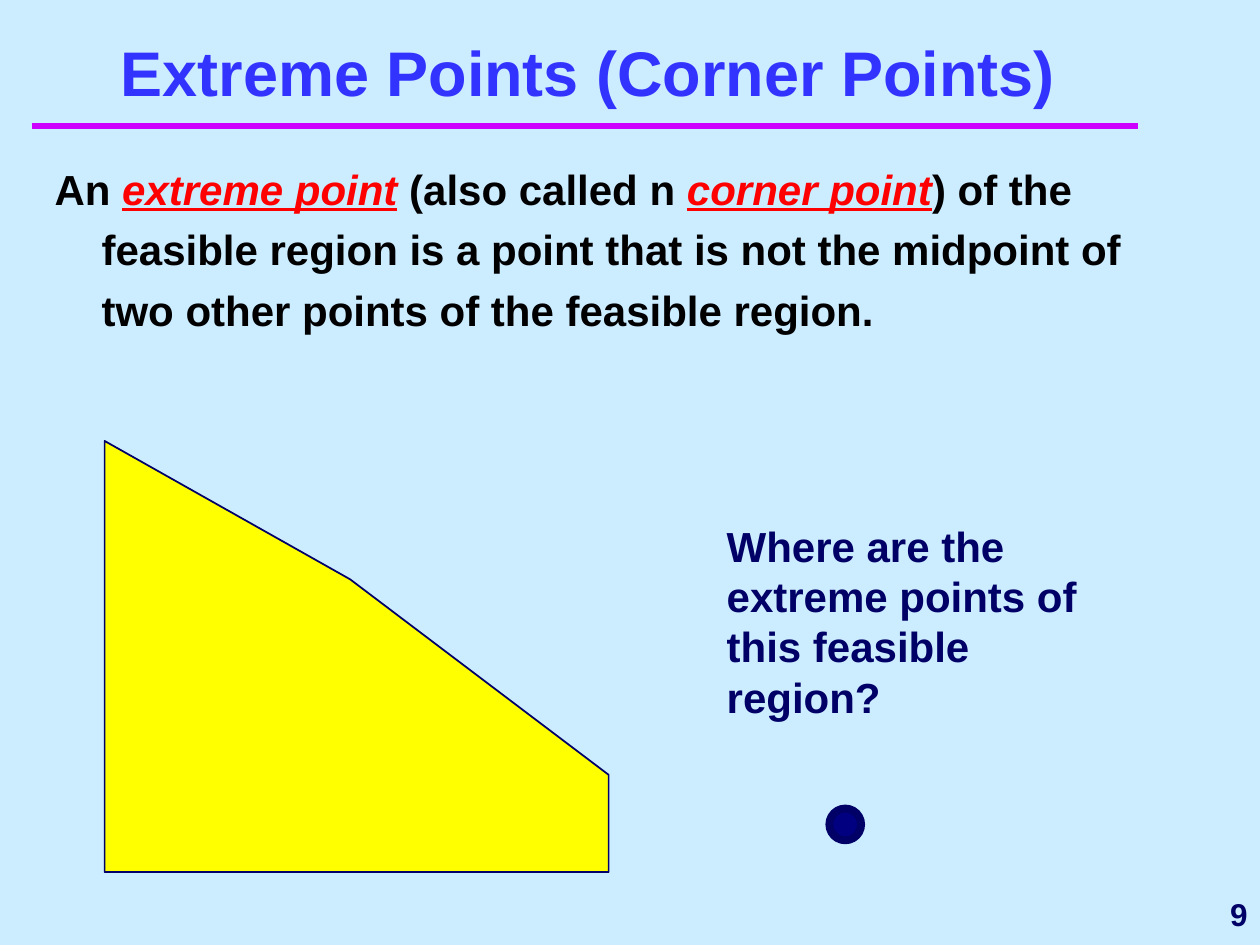
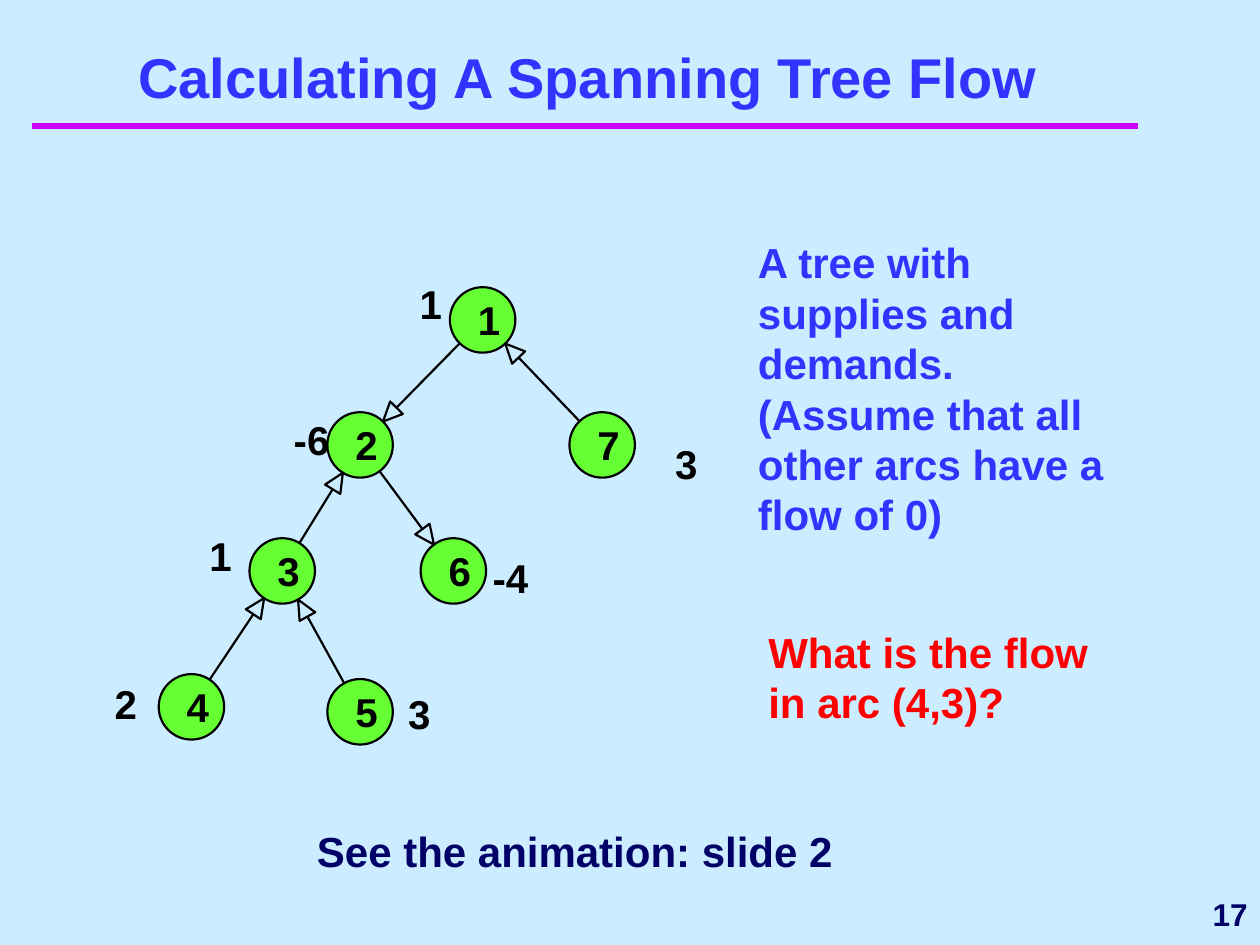
from math import hypot
from lxml.etree import SubElement
from pptx import Presentation
from pptx.dml.color import RGBColor
from pptx.enum.shapes import MSO_CONNECTOR, MSO_SHAPE
from pptx.enum.text import MSO_ANCHOR, PP_ALIGN
from pptx.oxml.ns import qn
from pptx.util import Cm, Pt

# Shared look
SKY, NAVY, BLUE, RED, BLACK = "CCECFF", "000066", "3333FF", "FF0000", "000000"
MAGENTA, YELLOW, GREEN, DOT = "CC00FF", "FFFF00", "66FF33", "000080"
FONT = {"name": "Arial", "bold": True}
TERM = {"color": RED, "italic": True, "underline": True}

# Extreme points: content, lengths in cm
DEFINITION = [
    ("An ", {}), ("extreme point", TERM), (" (also called n ", {}),
    ("corner point", TERM),
    (") of the feasible region is a point that is not the midpoint of "
     "two other points of the feasible region.", {}),
]
REGION = [(2.11, 17.58), (12.27, 17.58), (12.27, 15.62), (7.06, 11.68), (2.11, 8.89)]
QUESTION = ("Where are the extreme points of this feasible region?",
            (14.4, 10.36, 7.62, 4.32), NAVY)

# Spanning tree: node -> centre, supply, left and top of the supply label
NODES = {
    1: ((9.73, 6.45), "1", (8.46, 5.64)),
    2: ((7.26, 8.97), "-6", (5.92, 8.38)),
    3: ((5.69, 11.51), "1", (4.22, 10.72)),
    4: ((3.86, 14.25), "2", (2.31, 13.69)),
    5: ((7.26, 14.35), "3", (8.23, 13.89)),
    6: ((9.14, 11.51), "-4", (9.93, 11.15)),
    7: ((12.14, 8.97), "3", (13.61, 8.86)),
}
ARCS = [(1, 2), (3, 2), (4, 3), (5, 3), (2, 6), (7, 1)]
RADIUS, HEAD_LENGTH, HEAD_HALF = 0.66, 0.39, 0.18
TREE_NOTES = [
    ("A tree with supplies and demands. (Assume that all other arcs have a flow of 0)",
     (15.03, 4.65, 7.83, 6.35), BLUE),
    ("What is the flow in arc (4,3)?", (15.24, 12.5, 7.83, 2.29), RED),
    ("See the animation: slide 2", (6.14, 16.51, 12.7, 1.27), NAVY),
]


def rgb(hex_color):
    return RGBColor.from_string(hex_color)


def set_all(target, values):
    for name, value in values.items():
        setattr(target, name, value)


def write(tf, runs, size, color, align=PP_ALIGN.LEFT):
    p = tf.paragraphs[0]
    p.alignment = align
    for text, extra in runs:
        r = p.add_run()
        r.text = text
        fmt = {**FONT, "size": Pt(size), "color": color, **extra}
        r.font.color.rgb = rgb(fmt.pop("color"))
        set_all(r.font, fmt)
    return p


def add_text(s, runs, box, size, color, align=PP_ALIGN.LEFT, **frame):
    tf = s.shapes.add_textbox(*map(Cm, box)).text_frame
    set_all(tf, {"word_wrap": True, **frame})
    if isinstance(runs, str):
        runs = [(runs, {})]
    return write(tf, runs, size, color, align)


def style(sp, fill, line, width):
    sp.shadow.inherit = False
    if fill:
        sp.fill.solid()
        sp.fill.fore_color.rgb = rgb(fill)
    else:
        sp.fill.background()
    sp.line.color.rgb = rgb(line)
    sp.line.width = Pt(width)


def add_outline(s, points, fill, line, width):
    start, *rest = [(Cm(x), Cm(y)) for x, y in points]
    builder = s.shapes.build_freeform(*start)
    builder.add_line_segments(rest, close=True)
    style(builder.convert_to_shape(), fill, line, width)


def add_circle(s, centre, radius, fill, line, width):
    x, y = centre
    box = (x - radius, y - radius, 2 * radius, 2 * radius)
    sp = s.shapes.add_shape(MSO_SHAPE.OVAL, *map(Cm, box))
    style(sp, fill, line, width)
    return sp


def add_arc(s, start, end):
    """Arrow from rim to rim with a hollow head."""
    (x1, y1), (x2, y2) = start, end
    length = hypot(x2 - x1, y2 - y1)
    ux, uy = (x2 - x1) / length, (y2 - y1) / length

    def at(along, across=0):
        return x1 + along * ux - across * uy, y1 + along * uy + across * ux

    tip = length - RADIUS
    neck = tip - HEAD_LENGTH
    points = [at(RADIUS), at(neck), at(neck, HEAD_HALF), at(tip),
              at(neck, -HEAD_HALF), at(neck)]
    add_outline(s, points, None, BLACK, 1.25)


def new_slide(prs, title, title_size, number):
    s = prs.slides.add_slide(prs.slide_layouts[6])
    s.background.fill.solid()
    s.background.fill.fore_color.rgb = rgb(SKY)
    rule = s.shapes.add_connector(MSO_CONNECTOR.STRAIGHT, Cm(0.64), Cm(2.54), Cm(22.94), Cm(2.54))
    rule.line.color.rgb = rgb(MAGENTA)
    rule.line.width = Pt(4)
    SubElement(rule.line._get_or_add_ln().getparent(), qn("a:effectLst"))
    add_text(s, title, (1.06, 0.42, 21.59, 1.91), title_size, BLUE,
             PP_ALIGN.CENTER, vertical_anchor=MSO_ANCHOR.BOTTOM)
    add_text(s, str(number), (20.52, 17.78, 4.88, 1.27), 18, NAVY,
             PP_ALIGN.RIGHT, vertical_anchor=MSO_ANCHOR.MIDDLE)
    return s


def extreme_points(prs):
    s = new_slide(prs, "Extreme Points (Corner Points)", 36, 9)
    add_outline(s, REGION, YELLOW, NAVY, 1)
    p = add_text(s, DEFINITION, (0.85, 2.96, 23.5, 5.5), 24, BLACK)
    set_all(p, {"line_spacing": 1.2, "space_after": Pt(6)})
    pPr = p._p.get_or_add_pPr()
    for name, indent in {"marL": Cm(0.95), "indent": -Cm(0.95)}.items():
        pPr.set(name, str(int(indent)))
    text, box, color = QUESTION
    add_text(s, text, box, 24, color)
    add_circle(s, (17.04, 16.62), 0.32, DOT, NAVY, 4.5)


def spanning_tree(prs):
    s = new_slide(prs, "Calculating A Spanning Tree Flow", 32, 17)
    flush = dict.fromkeys(("margin_left", "margin_right", "margin_top", "margin_bottom"), 0)
    for node, (centre, supply, corner) in NODES.items():
        tf = add_circle(s, centre, RADIUS, GREEN, BLACK, 1.25).text_frame
        set_all(tf, {**flush, "margin_left": Cm(0.26), "word_wrap": False,
                     "vertical_anchor": MSO_ANCHOR.MIDDLE})
        write(tf, [(str(node), {})], 23, BLACK, PP_ALIGN.CENTER)
        width = 0.46 if len(supply) == 1 else 0.74
        add_text(s, supply, (*corner, width, 0.97), 23, BLACK, **flush, word_wrap=False)
    for tail, head in ARCS:
        add_arc(s, NODES[tail][0], NODES[head][0])
    for text, box, color in TREE_NOTES:
        add_text(s, text, box, 24, color)


def main():
    prs = Presentation()
    prs.slide_width, prs.slide_height = Cm(25.4), Cm(19.05)
    extreme_points(prs)
    spanning_tree(prs)
    prs.save("out.pptx")


if __name__ == "__main__":
    main()
